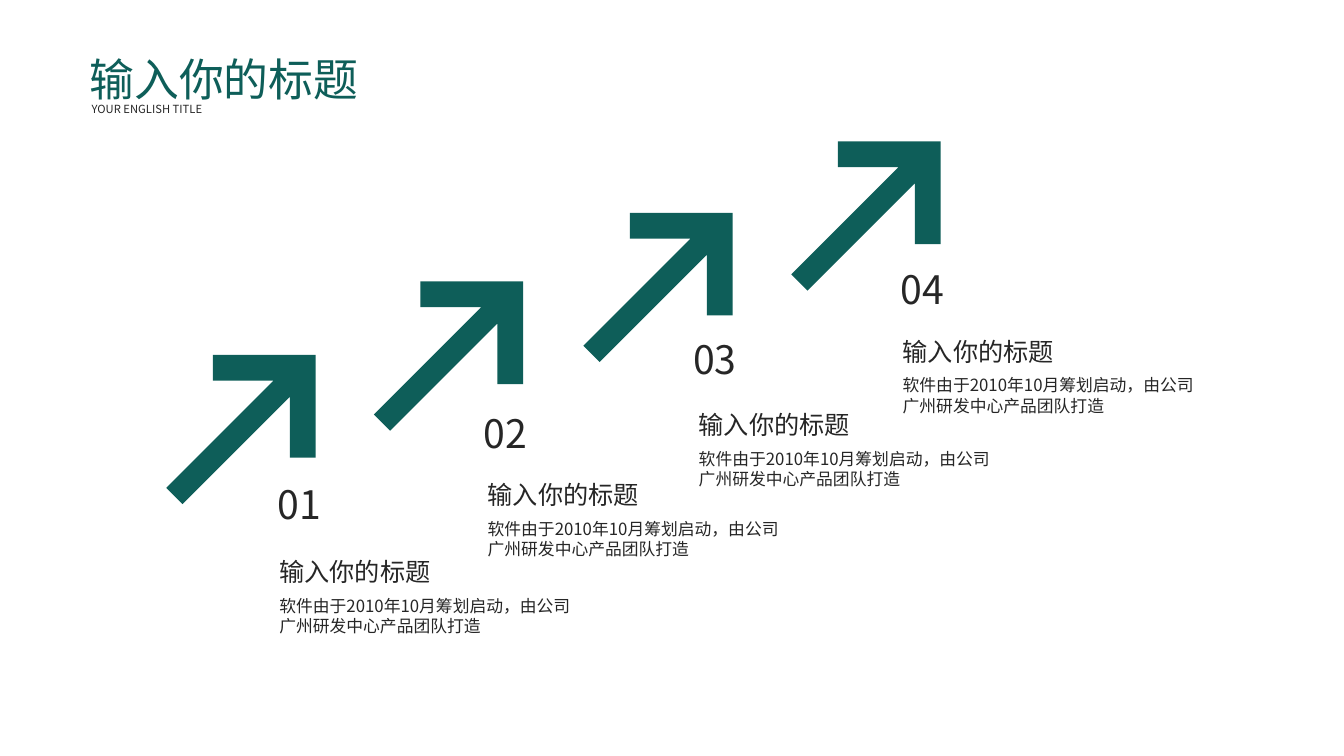
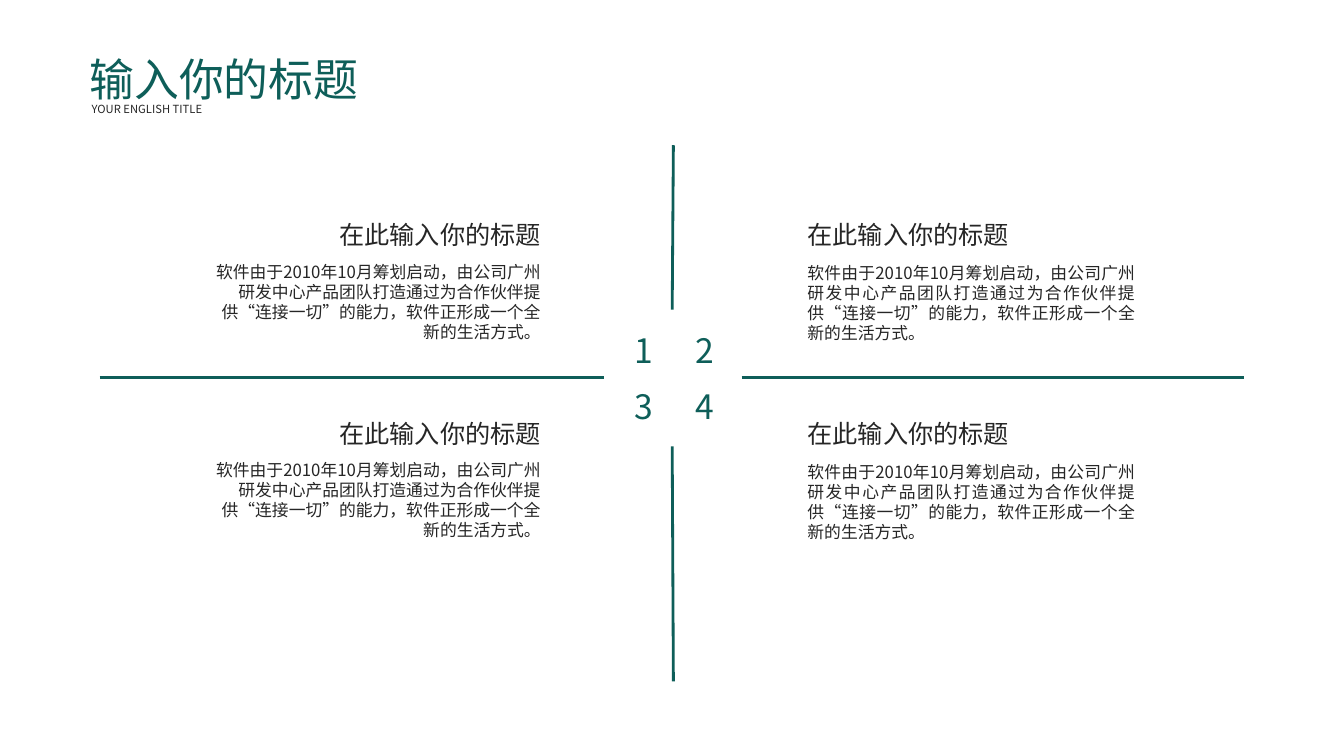
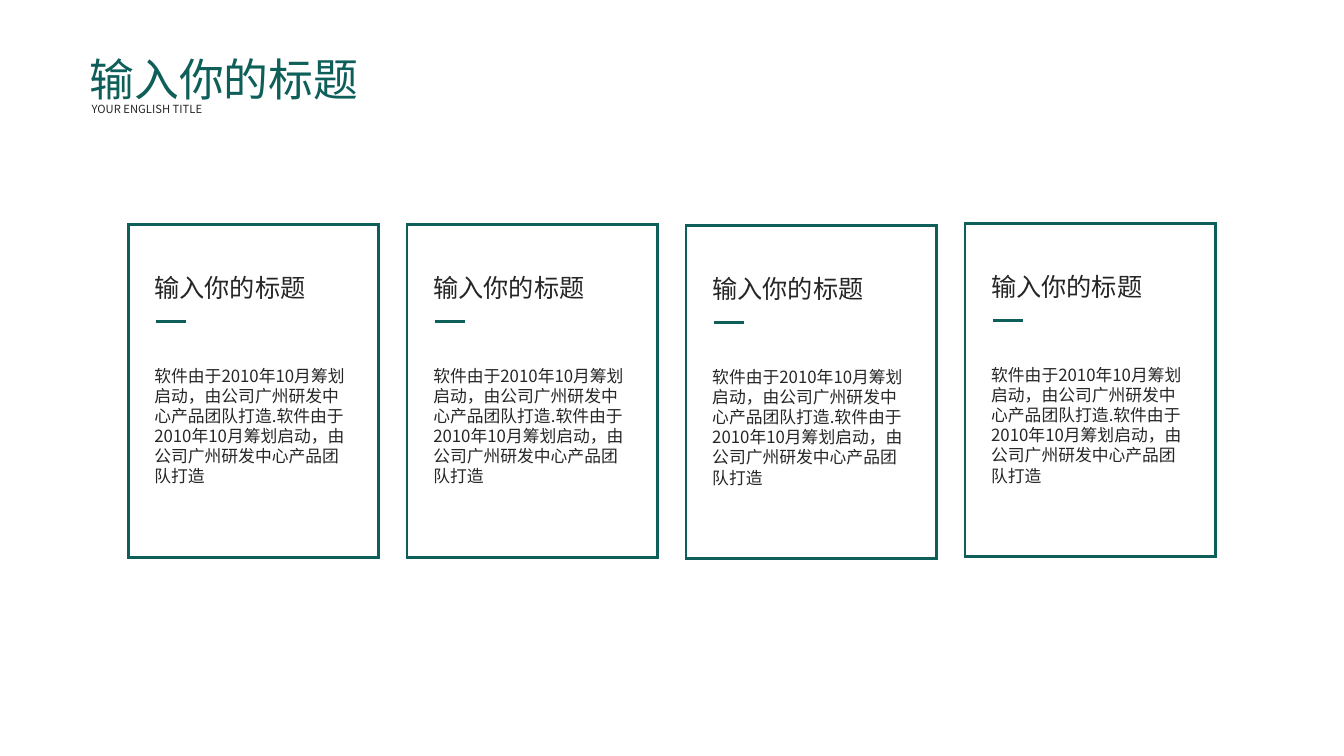
from lxml.etree import SubElement
from pptx import Presentation
from pptx.dml.color import RGBColor
from pptx.enum.shapes import MSO_CONNECTOR, MSO_SHAPE
from pptx.enum.text import MSO_ANCHOR, MSO_AUTO_SIZE, PP_ALIGN
from pptx.oxml.ns import qn
from pptx.util import Cm, Pt

FONT = "Noto Sans CJK SC"
COLORS = {"accent": "0E5E59", "text": "262626"}
LINE_WIDTH = Pt(2)

TITLE = "输入你的标题"
SUBTITLE = "YOUR ENGLISH TITLE"
SHORT_TEXT = "软件由于2010年10月筹划启动，由公司广州研发中心产品团队打造"
LONG_TEXT = (SHORT_TEXT + "通过为合作伙伴提供“连接一切”的能力，"
             "软件正形成一个全新的生活方式。")
CARD_TEXT = SHORT_TEXT + "." + SHORT_TEXT

# All positions and sizes are in centimetres.
STEPS = [
    {"number": "01", "arrow": (3.66, 8.89), "number_at": (6.75, 11.98), "text_at": (6.79, 13.89)},
    {"number": "02", "arrow": (8.89, 7.04), "number_at": (11.94, 10.19), "text_at": (12.04, 11.96)},
    {"number": "03", "arrow": (14.17, 5.31), "number_at": (17.22, 8.33), "text_at": (17.36, 10.19)},
    {"number": "04", "arrow": (19.41, 3.51), "number_at": (22.44, 6.57), "text_at": (22.5, 8.34)},
]
# The arrow points left and is then turned to point up and right.
ARROW_OUTLINE = [(0, 1.83), (1.83, 0), (2.29, 0.46), (1.21, 1.54), (5.03, 1.54),
                 (5.03, 2.12), (1.21, 2.12), (2.29, 3.2), (1.83, 3.66)]
ARROW_ROTATION = 135

QUADRANT_HEADING = "在此输入你的标题"
QUADRANT_COLUMNS = [
    {"heading": 8.3, "body": 5.19, "width": 8.69, "number": 15.32, "align": PP_ALIGN.RIGHT},
    {"heading": 20.1, "body": 20.1, "width": 8.76, "number": 16.86, "align": PP_ALIGN.JUSTIFY},
]
QUADRANT_ROWS = [
    {"heading": 5.41, "bodies": (6.47, 6.49), "number": 8.2},
    {"heading": 10.41, "bodies": (11.46, 11.51), "number": 9.61},
]
QUADRANT_LINES = [
    ((18.69, 9.51), (31.34, 9.51)),
    ((2.51, 9.51), (15.21, 9.51)),
    ((16.94, 11.25), (16.97, 17.17)),
    ((16.97, 3.66), (16.94, 7.8)),
]

CARD_TOPS = [5.66, 5.66, 5.69, 5.64]
CARD_LEFT, CARD_PITCH = 3.23, 7.03
CARD_WIDTH, CARD_HEIGHT = 6.32, 8.38


def color(name):
    return RGBColor.from_string(COLORS[name])


def write(shape, text, size, color_name="text", align=PP_ALIGN.LEFT):
    """Fill a shape with one formatted run, anchored at the top."""
    frame = shape.text_frame
    frame.word_wrap = True
    frame.auto_size = MSO_AUTO_SIZE.NONE
    frame.vertical_anchor = MSO_ANCHOR.TOP
    paragraph = frame.paragraphs[0]
    paragraph.alignment = align
    run = paragraph.add_run()
    run.text = text
    run.font.size = Pt(size)
    run.font.color.rgb = color(color_name)
    run.font.name = FONT
    SubElement(run.font._element, qn("a:ea")).set("typeface", FONT)


def add_text(slide, text, left, top, width, height, size, **style):
    box = slide.shapes.add_textbox(Cm(left), Cm(top), Cm(width), Cm(height))
    write(box, text, size, **style)


def set_outline(shape):
    """Give a shape or connector the accent line with square corners."""
    shape.line.color.rgb = color("accent")
    shape.line.width = LINE_WIDTH
    outline = shape._element.spPr.find(qn("a:ln"))
    SubElement(outline, qn("a:miter")).set("lim", "800000")


def add_line(slide, start, end):
    line = slide.shapes.add_connector(
        MSO_CONNECTOR.STRAIGHT, *(Cm(value) for value in (*start, *end)))
    set_outline(line)
    SubElement(line._element.spPr, qn("a:effectLst"))


def add_arrow(slide, left, top):
    points = [(Cm(x), Cm(y)) for x, y in ARROW_OUTLINE]
    builder = slide.shapes.build_freeform(*points[0])
    builder.add_line_segments(points[1:], close=True)
    arrow = builder.convert_to_shape(Cm(left), Cm(top))
    arrow.rotation = ARROW_ROTATION
    arrow.shadow.inherit = False
    arrow.fill.solid()
    arrow.fill.fore_color.rgb = color("accent")
    arrow.line.fill.background()


def add_titled_slide(presentation):
    slide = presentation.slides.add_slide(presentation.slide_layouts.get_by_name("Title Only"))
    title = slide.shapes.title
    title.left, title.top, title.width, title.height = Cm(2), Cm(1.17), Cm(7.9), Cm(1.63)
    write(title, TITLE, 32, color_name="accent")
    add_text(slide, SUBTITLE, 2.06, 2.46, 7.16, 0.61, 8, align=PP_ALIGN.JUSTIFY)
    return slide


def build_steps(presentation):
    slide = add_titled_slide(presentation)
    for step in STEPS:
        left, top = step["text_at"]
        add_arrow(slide, *step["arrow"])
        add_text(slide, step["number"], *step["number_at"], 2.06, 1.45, 28)
        add_text(slide, TITLE, left, top, 6.17, 1.02, 18)
        add_text(slide, SHORT_TEXT, left, top + 0.99, 7.95, 1.28, 12)


def build_quadrants(presentation):
    slide = add_titled_slide(presentation)
    for start, end in QUADRANT_LINES:
        add_line(slide, start, end)
    for row_index, row in enumerate(QUADRANT_ROWS):
        for column_index, column in enumerate(QUADRANT_COLUMNS):
            number = row_index * len(QUADRANT_COLUMNS) + column_index + 1
            add_text(slide, str(number), column["number"], row["number"], 1.83, 1.3, 24,
                     color_name="accent", align=PP_ALIGN.CENTER)
            add_text(slide, QUADRANT_HEADING, column["heading"], row["heading"], 5.92, 1.02, 18)
            add_text(slide, LONG_TEXT, column["body"], row["bodies"][column_index],
                     column["width"], 2.31, 12, align=column["align"])


def build_cards(presentation):
    slide = add_titled_slide(presentation)
    for index, top in enumerate(CARD_TOPS):
        left = CARD_LEFT + index * CARD_PITCH
        card = slide.shapes.add_shape(
            MSO_SHAPE.RECTANGLE, Cm(left), Cm(top), Cm(CARD_WIDTH), Cm(CARD_HEIGHT))
        card.shadow.inherit = False
        card.fill.background()
        set_outline(card)
        add_text(slide, TITLE, left + 0.41, top + 1.07, 6.17, 1.02, 18)
        add_line(slide, (left + 0.71, top + 2.44), (left + 1.45, top + 2.44))
        add_text(slide, CARD_TEXT, left + 0.41, top + 3.42, 5.41, 3.33, 12)


def main():
    presentation = Presentation()
    presentation.slide_width, presentation.slide_height = Cm(33.87), Cm(19.05)
    build_steps(presentation)
    build_quadrants(presentation)
    build_cards(presentation)
    presentation.save("out.pptx")


if __name__ == "__main__":
    main()
